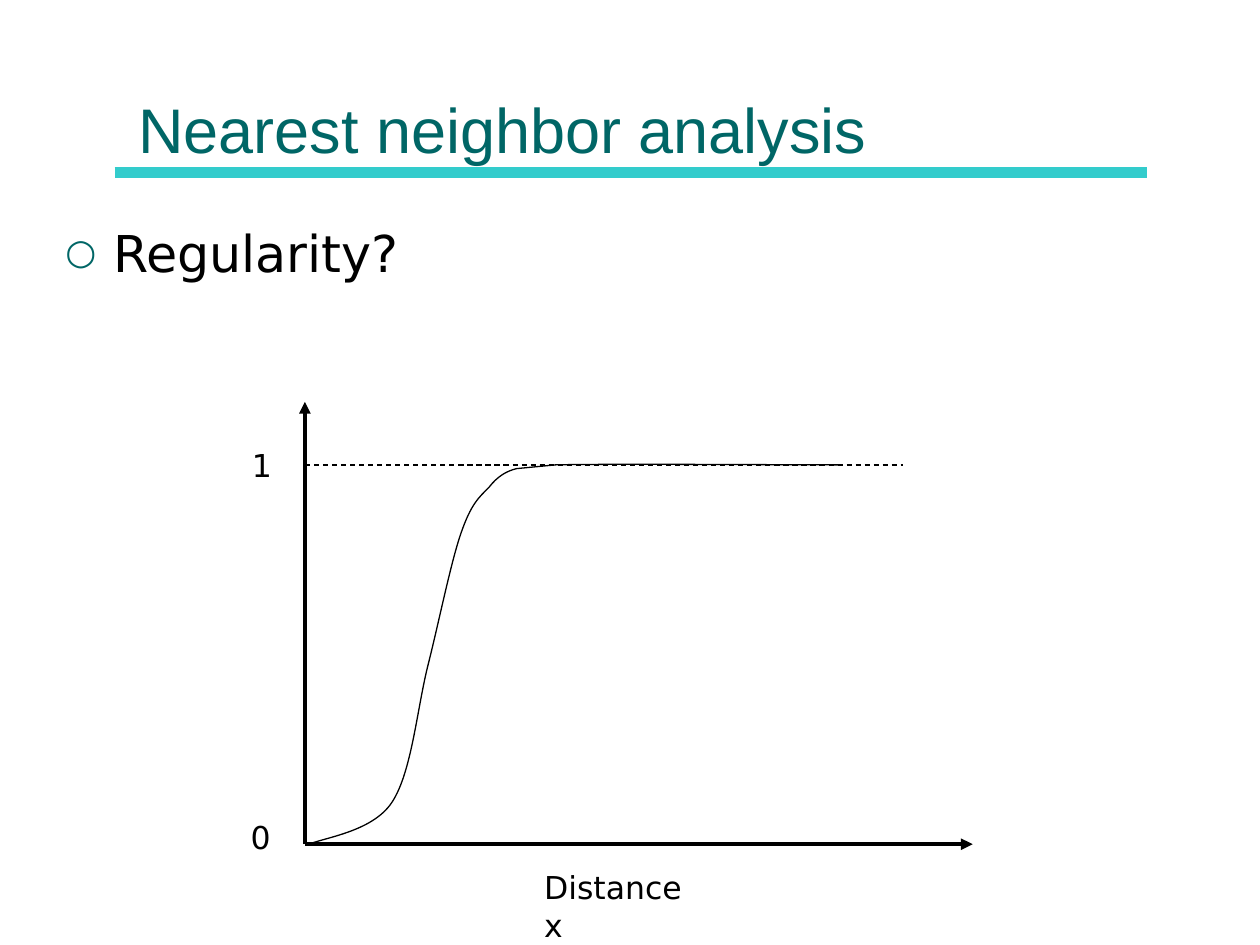
from lxml import etree
from pptx import Presentation
from pptx.dml.color import RGBColor
from pptx.enum.dml import MSO_LINE
from pptx.enum.shapes import MSO_CONNECTOR
from pptx.enum.text import MSO_ANCHOR
from pptx.oxml.ns import qn
from pptx.util import Inches, Pt

STRAIGHT = MSO_CONNECTOR.STRAIGHT
DASH = MSO_LINE.DASH
TOP, BOTTOM = MSO_ANCHOR.TOP, MSO_ANCHOR.BOTTOM
TEAL = RGBColor(0x00, 0x66, 0x66)
AQUA = RGBColor(0x33, 0xCC, 0xCC)
BLACK = RGBColor(0x00, 0x00, 0x00)
BODY_FONT = "DejaVu Sans"

ORIGIN = (2.42, 6.7)
LEVEL_ONE = 3.69

TEXTS = [
    ("Nearest neighbor analysis", (1, 0.12, 8, 1.25), BOTTOM, True, False,
     {"name": "Arial", "size": Pt(36), "color": TEAL}),
    ("Regularity?", (0.42, 1.71, 9.13, 4.5), TOP, True, True,
     {"name": BODY_FONT, "size": Pt(29), "color": BLACK}),
]
AXIS_LABELS = [
    ("0", (1.89, 6.44, 0.36, 0.4), False),
    ("1", (1.9, 3.49, 0.36, 0.4), False),
    ("Distance x", (4.22, 6.84, 1.45, 0.4), True),
]
TEXTS += [
    (text, box, TOP, wrap, False, {"name": BODY_FONT, "size": Pt(18), "color": BLACK})
    for text, box, wrap in AXIS_LABELS
]

LINES = [
    ((0.91, 1.37), (9.1, 1.37), AQUA, 6, None, False),
    (ORIGIN, (ORIGIN[0], 3.19), BLACK, 2.25, None, True),
    (ORIGIN, (7.72, ORIGIN[1]), BLACK, 2.25, None, True),
    ((ORIGIN[0], LEVEL_ONE), (7.17, LEVEL_ONE), BLACK, 0.75, DASH, False),
]

CURVE_START = (2.43, 6.71)
CURVE_SEGMENTS = [
    [(2.55, 6.65), (2.95, 6.61), (3.11, 6.37)],
    [(3.27, 6.13), (3.31, 5.62), (3.4, 5.27)],
    [(3.49, 4.91), (3.58, 4.46), (3.66, 4.23)],
    [(3.74, 4), (3.8, 3.95), (3.88, 3.87)],
    [(3.95, 3.78), (4.02, 3.74), (4.1, 3.72)],
    [(4.2, 3.71), (4.31, 3.7), (4.41, 3.69)],
    [(4.84, 3.68), (6.19, 3.69), (6.66, 3.69)],
]


def add_bullet(paragraph):
    properties = paragraph._p.get_or_add_pPr()
    properties.set("marL", str(Inches(0.38)))
    properties.set("indent", str(-Inches(0.38)))
    color = etree.SubElement(properties, qn("a:buClr"))
    etree.SubElement(color, qn("a:srgbClr"), val=str(TEAL))
    etree.SubElement(properties, qn("a:buSzPct"), val="70000")
    etree.SubElement(properties, qn("a:buFont"), typeface=BODY_FONT)
    etree.SubElement(properties, qn("a:buChar"), char="○")


def add_text(slide, text, box, anchor, wrap, bulleted, font_format):
    frame = slide.shapes.add_textbox(*map(Inches, box)).text_frame
    frame.word_wrap = wrap
    frame.vertical_anchor = anchor
    paragraph = frame.paragraphs[0]
    if bulleted:
        add_bullet(paragraph)
    run = paragraph.add_run()
    run.text = text
    for name, value in font_format.items():
        if name == "color":
            run.font.color.rgb = value
        else:
            setattr(run.font, name, value)


def add_line(slide, start, end, color, width, dash, arrow):
    connector = slide.shapes.add_connector(STRAIGHT, *map(Inches, start + end))
    connector.line.color.rgb = color
    connector.line.width = Pt(width)
    if dash:
        connector.line.dash_style = dash
    if arrow:
        etree.SubElement(connector.line._get_or_add_ln(), qn("a:tailEnd"), type="triangle")
    etree.SubElement(connector._element.spPr, qn("a:effectLst"))


def add_curve(slide):
    points = [tuple(map(Inches, point)) for segment in CURVE_SEGMENTS for point in segment]
    builder = slide.shapes.build_freeform(*map(Inches, CURVE_START))
    builder.add_line_segments(points, close=False)
    shape = builder.convert_to_shape()
    shape.shadow.inherit = False
    shape.fill.background()
    shape.line.color.rgb = BLACK
    shape.line.width = Pt(0.75)
    straight_parts = list(shape._element.iter(qn("a:lnTo")))
    outline = straight_parts[0].getparent()
    for first in range(0, len(straight_parts), 3):
        bezier = etree.SubElement(outline, qn("a:cubicBezTo"))
        for part in straight_parts[first:first + 3]:
            bezier.append(part[0])
            outline.remove(part)


def main():
    presentation = Presentation()
    presentation.slide_width = Inches(10)
    presentation.slide_height = Inches(7.5)
    slide = presentation.slides.add_slide(presentation.slide_layouts[6])
    for line in LINES:
        add_line(slide, *line)
    for text in TEXTS:
        add_text(slide, *text)
    add_curve(slide)
    presentation.save("out.pptx")


if __name__ == "__main__":
    main()
